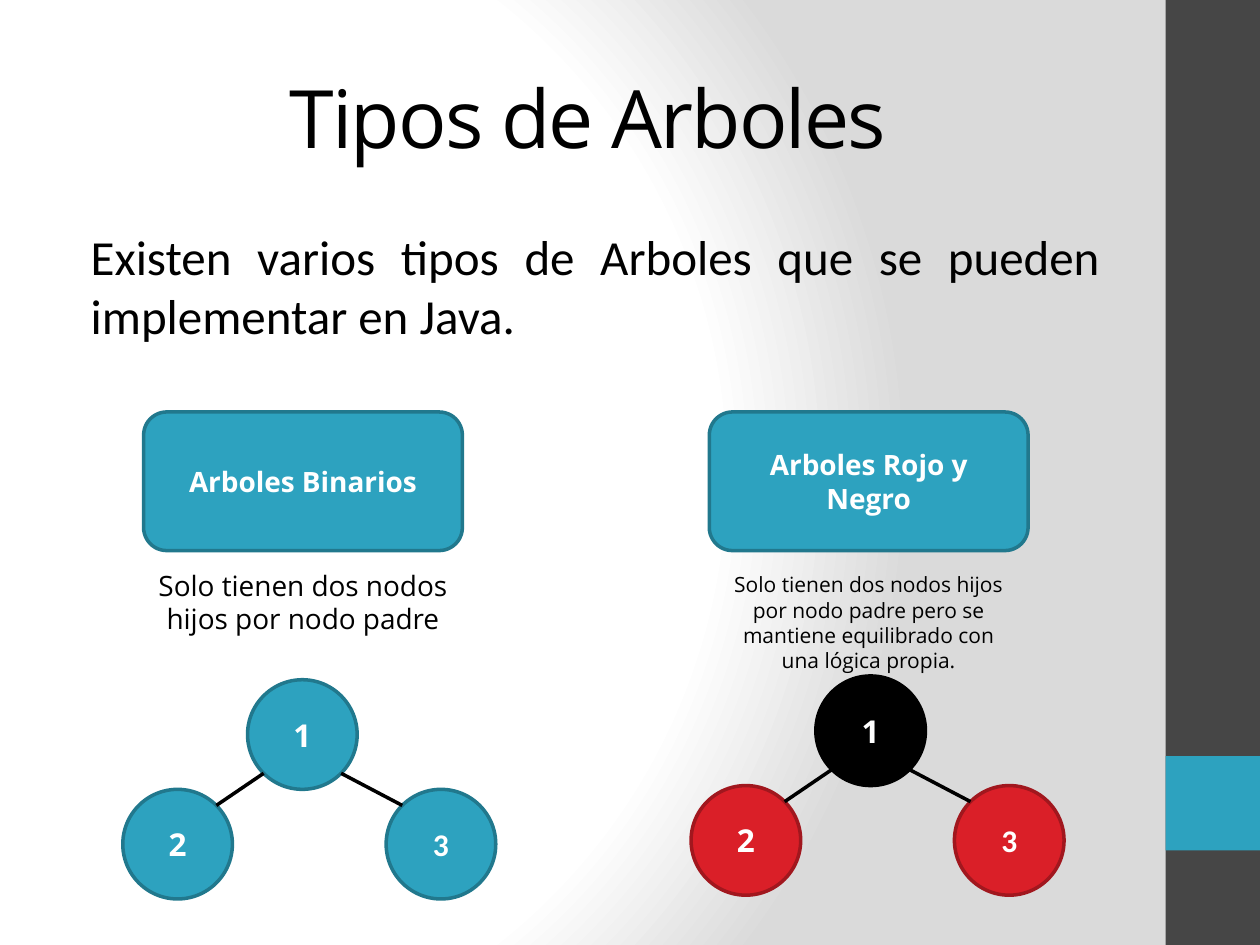
from pptx import Presentation
from pptx.dml.color import RGBColor
from pptx.enum.shapes import MSO_CONNECTOR, MSO_SHAPE
from pptx.enum.text import MSO_ANCHOR, MSO_AUTO_SIZE, PP_ALIGN
from pptx.oxml import parse_xml
from pptx.oxml.ns import nsdecls
from pptx.util import Inches, Pt

RECT, ROUNDED, OVAL = MSO_SHAPE.RECTANGLE, MSO_SHAPE.ROUNDED_RECTANGLE, MSO_SHAPE.OVAL
CENTER, JUSTIFY = PP_ALIGN.CENTER, PP_ALIGN.JUSTIFY
TOP, MIDDLE = MSO_ANCHOR.TOP, MSO_ANCHOR.MIDDLE

WIDTH, HEIGHT = 10, 7.5
BAND = 0.75
MARGIN, CONTENT_WIDTH = 0.5, 8.33
CARD_WIDTH, CARD_HEIGHT, CARD_TOP = 2.53, 1.1, 3.27
NODE = 0.87
DIAGONAL = NODE / 2 * 0.5 ** 0.5
BLACK, WHITE, GRAY = "000000", "FFFFFF", "464646"
TEAL, RED = ("2DA2BF", "21788D"), ("DA1F28", "A1171E")
SANS, CALIBRI = "Open Sans", "Calibri"

TITLE = "Tipos de Arboles"
INTRO = "Existen varios tipos de Arboles que se pueden implementar en Java."
TREES = [
    dict(name="Arboles Binarios", left=1.14,
         about="Solo tienen dos nodos hijos por nodo padre", about_top=4.46, size=16,
         root=(2.4, 5.83), root_colors=TEAL, child_colors=TEAL),
    dict(name="Arboles Rojo y Negro", left=5.63,
         about="Solo tienen dos nodos hijos por nodo padre pero se mantiene "
               "equilibrado con una lógica propia.", about_top=4.49, size=12,
         root=(6.91, 5.8), root_colors=(BLACK, BLACK), child_colors=RED),
]
CHILDREN = [("2", -0.99, SANS), ("3", 1.1, CALIBRI)]
CHILD_DROP = 0.87
GRADIENT = [(0, WHITE), (75, WHITE), (100, "DADADA")]


def rgb(value):
    return RGBColor.from_string(value)


def write(holder, text, size, color, font=SANS, bold=False, align=CENTER, anchor=MIDDLE):
    frame = holder.text_frame
    frame.word_wrap = True
    frame.auto_size = MSO_AUTO_SIZE.NONE
    frame.vertical_anchor = anchor
    frame.text = text
    paragraph = frame.paragraphs[0]
    paragraph.alignment = align
    run = paragraph.runs[0]
    run.font.size, run.font.name, run.font.bold = Pt(size), font, bold
    run.font.color.rgb = rgb(color)
    return paragraph


def place(holder, *box):
    holder.left, holder.top, holder.width, holder.height = map(Inches, box)


def add_block(kind, box, fill, outline=None):
    block = slide.shapes.add_shape(kind, *map(Inches, box))
    block.shadow.inherit = False
    block.fill.solid()
    block.fill.fore_color.rgb = rgb(fill)
    if outline:
        block.line.color.rgb = rgb(outline)
        block.line.width = Pt(2)
    else:
        block.line.fill.background()
    return block


def add_node(label, x, y, colors, font=SANS):
    node = add_block(OVAL, (x - NODE / 2, y - NODE / 2, NODE, NODE), *colors)
    write(node, label, 18, WHITE, font, bold=True)


def add_branch(*ends):
    branch = slide.shapes.add_connector(MSO_CONNECTOR.STRAIGHT, *map(Inches, ends))
    branch.line.color.rgb = rgb(BLACK)
    branch.line.width = Pt(2)
    branch._element.spPr.append(parse_xml(f"<a:effectLst {nsdecls('a')}/>"))


deck = Presentation()
deck.slide_width, deck.slide_height = Inches(WIDTH), Inches(HEIGHT)
slide = deck.slides.add_slide(deck.slide_layouts[1])

slide.background.fill.solid()
backdrop = slide.element.cSld.bg.bgPr
stops = "".join(f'<a:gs pos="{pos * 1000}"><a:srgbClr val="{color}"/></a:gs>'
                for pos, color in GRADIENT)
backdrop.replace(backdrop[0], parse_xml(
    f'<a:gradFill {nsdecls("a")} rotWithShape="1"><a:gsLst>{stops}</a:gsLst>'
    '<a:path path="circle"><a:fillToRect l="20000" t="50000" r="100000" b="50000"/>'
    '</a:path></a:gradFill>'))

add_block(RECT, (WIDTH - BAND, 0, BAND, HEIGHT), GRAY)
add_block(RECT, (WIDTH - BAND, 6, BAND, BAND), TEAL[0])

title, intro = slide.placeholders
place(title, MARGIN, 0.3, CONTENT_WIDTH, 1.25)
heading = write(title, TITLE, 46, BLACK)
heading.runs[0].font._element.set("spc", "-100")

place(intro, MARGIN, 1.75, CONTENT_WIDTH, 0.98)
lead = write(intro, INTRO, 28, BLACK, CALIBRI, align=JUSTIFY, anchor=TOP)
lead.space_before = Pt(5.6)
lead_format = lead._p.get_or_add_pPr()
lead_format.set("marL", str(Inches(0.12)))
lead_format.set("indent", "0")
lead_format.append(parse_xml(f"<a:buNone {nsdecls('a')}/>"))

for tree in TREES:
    card = add_block(ROUNDED, (tree["left"], CARD_TOP, CARD_WIDTH, CARD_HEIGHT), *TEAL)
    write(card, tree["name"], 16, WHITE, bold=True)
    about = slide.shapes.add_textbox(
        *map(Inches, (tree["left"], tree["about_top"], CARD_WIDTH, 0.91)))
    write(about, tree["about"], tree["size"], BLACK, anchor=TOP)

    x, y = tree["root"]
    add_node("1", x, y, tree["root_colors"])
    for label, shift, font in CHILDREN:
        add_node(label, x + shift, y + CHILD_DROP, tree["child_colors"], font)
        reach = DIAGONAL if shift > 0 else -DIAGONAL
        add_branch(x + reach, y + DIAGONAL,
                   x + shift - reach, y + CHILD_DROP - DIAGONAL)

deck.save("out.pptx")
